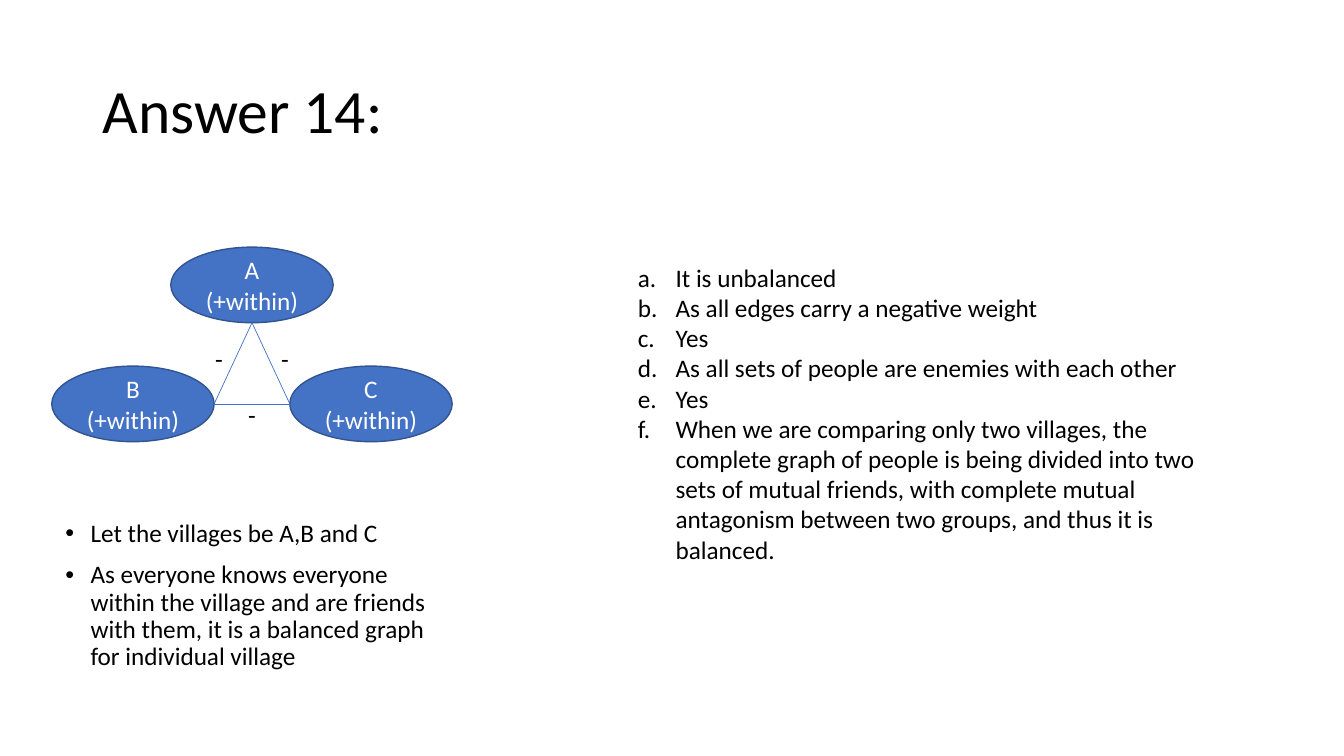
"""Build the Answer 14 slide: three villages, their hostile ties and the answers."""
from dataclasses import dataclass

from lxml import etree
from pptx import Presentation
from pptx import util as u
from pptx.dml.color import RGBColor
from pptx.enum import shapes, text
from pptx.oxml import ns


@dataclass(frozen=True)
class Theme:
    font: str = "Calibri"
    title_size: int = 44
    body_size: int = 18
    ink: str = "000000"
    paper: str = "FFFFFF"
    fill: str = "4472C4"
    outline: str = "325491"


THEME = Theme()
TITLE = "Answer 14:"
NOTES = [
    "Let the villages be A,B and C",
    "As everyone knows everyone within the village and are friends with them, "
    "it is a balanced graph for individual village",
]
ANSWERS = [
    "It is unbalanced",
    "As all edges carry a negative weight",
    "Yes",
    "As all sets of people are enemies with each other",
    "Yes",
    "When we are comparing only two villages, the complete graph of people is being "
    "divided into two sets of mutual friends, with complete mutual antagonism "
    "between two groups, and thus it is balanced.",
]
TITLE_AREA = (66, 29, 828, 104)
NOTES_AREA = (39.5, 368.5, 281, 126)
ANSWERS_AREA = (448.5, 183.5, 420.5, 225.5)

AXIS = 180
NODE_W, NODE_H = 116, 54
TOP_Y, LOW_Y = 203.5, 288.5
SPREAD = 85
SIGN_W, SIGN_H = 20, 29
VILLAGES = {"A": (AXIS, TOP_Y), "C": (AXIS + SPREAD, LOW_Y), "B": (AXIS - SPREAD, LOW_Y)}
HALF_GAP = SPREAD - NODE_W / 2
APEX = (AXIS, TOP_Y + NODE_H / 2)
RIGHT = (AXIS + HALF_GAP, LOW_Y)
LEFT = (AXIS - HALF_GAP, LOW_Y)
EDGES = [(APEX, RIGHT), (APEX, LEFT), (LEFT, RIGHT)]
SIGNS = [(AXIS + 23.5, 256.5), (AXIS, 296.5), (AXIS - 23.5, 256.5)]


def points(values):
    return [u.Pt(value) for value in values]


def centred(centre, width, height):
    return points((centre[0] - width / 2, centre[1] - height / 2, width, height))


def place(box, area):
    box.left, box.top, box.width, box.height = points(area)


def write(box, lines, size=THEME.body_size, color=THEME.ink, align=text.PP_ALIGN.LEFT,
          spacing=1.0, before=0, indent=0, numbered=False):
    frame = box.text_frame
    frame.text = "\n".join(lines)
    frame.auto_size = text.MSO_AUTO_SIZE.NONE
    frame.word_wrap = True
    for para in frame.paragraphs:
        if indent:
            props = para._p.get_or_add_pPr()
            props.set("marL", str(u.Pt(indent)))
            props.set("indent", str(-u.Pt(indent)))
            if numbered:
                etree.SubElement(props, ns.qn("a:buAutoNum"), type="alphaLcPeriod")
        para.alignment = align
        para.line_spacing = spacing
        para.space_before = u.Pt(before)
        para.font.name = THEME.font
        para.font.size = u.Pt(size)
        para.font.color.rgb = RGBColor.from_string(color)
    return frame


deck = Presentation()
deck.slide_width, deck.slide_height = points((960, 540))
page = deck.slides.add_slide(deck.slide_layouts[1])
title, notes = page.placeholders

place(title, TITLE_AREA)
heading = write(title, [TITLE], size=THEME.title_size, spacing=0.9)
heading.vertical_anchor = text.MSO_ANCHOR.MIDDLE
place(notes, NOTES_AREA)
write(notes, NOTES, spacing=0.9, before=10, indent=18)

for name, centre in VILLAGES.items():
    village = page.shapes.add_shape(shapes.MSO_SHAPE.OVAL, *centred(centre, NODE_W, NODE_H))
    village.shadow.inherit = False
    village.fill.solid()
    village.fill.fore_color.rgb = RGBColor.from_string(THEME.fill)
    village.line.color.rgb = RGBColor.from_string(THEME.outline)
    village.line.width = u.Pt(1)
    label = write(village, [name, "(+within)"], color=THEME.paper, align=text.PP_ALIGN.CENTER)
    label.vertical_anchor = text.MSO_ANCHOR.MIDDLE
    label.margin_left = label.margin_right = 0

for start, end in EDGES:
    edge = page.shapes.add_connector(shapes.MSO_CONNECTOR.STRAIGHT, *points(start + end))
    edge.line.color.rgb = RGBColor.from_string(THEME.fill)
    edge.line.width = u.Pt(0.5)
    etree.SubElement(edge._element.spPr, ns.qn("a:effectLst"))

for centre in SIGNS:
    sign = page.shapes.add_textbox(*centred(centre, SIGN_W, SIGN_H))
    write(sign, ["-"], align=text.PP_ALIGN.CENTER).word_wrap = False

answers = page.shapes.add_textbox(*points(ANSWERS_AREA))
write(answers, ANSWERS, indent=27, numbered=True)

deck.save("out.pptx")
